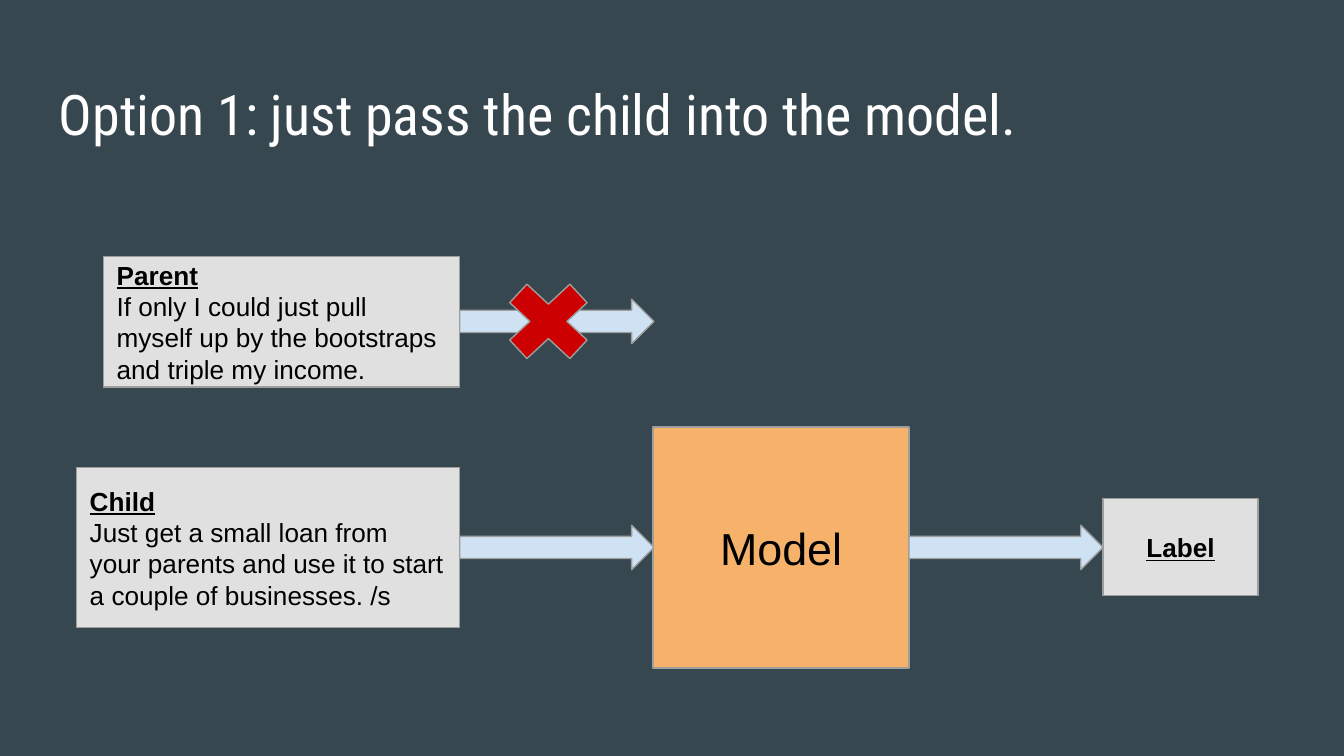
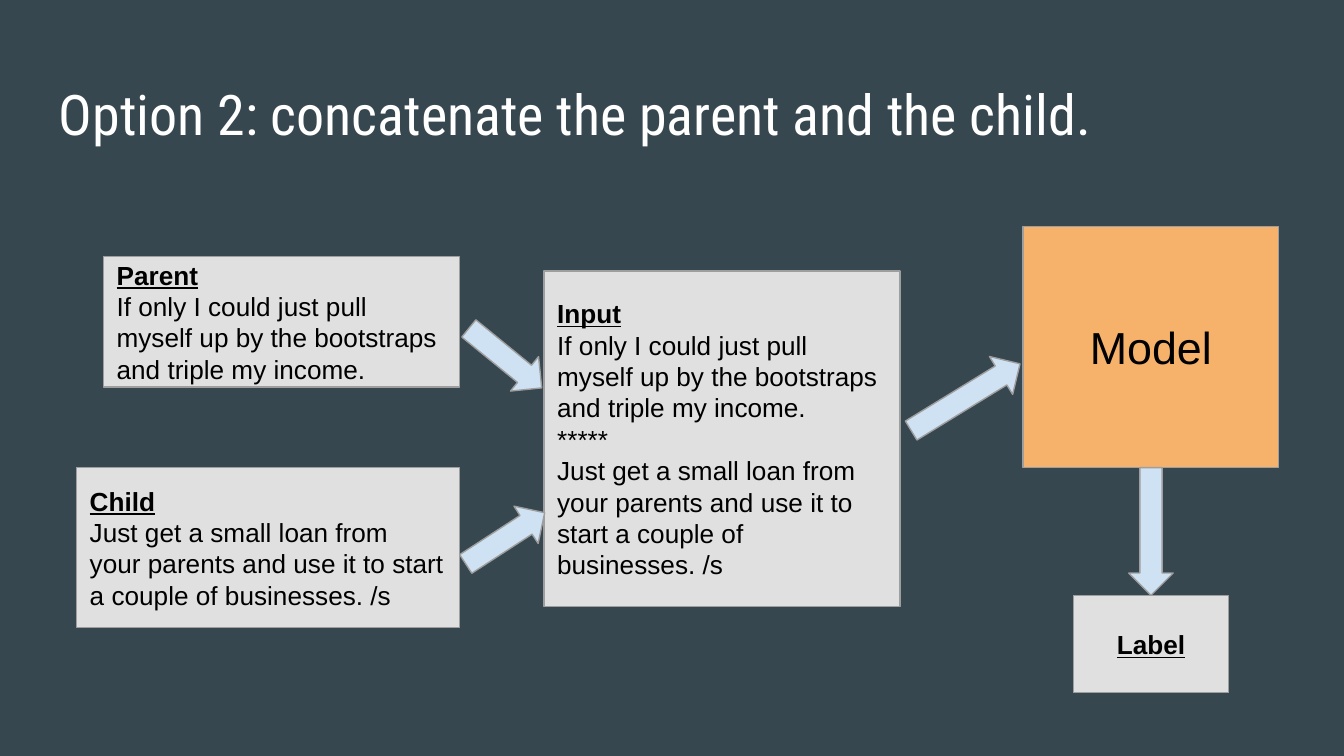
import pptx
import pptx.util
import pptx.dml.color
import pptx.enum.shapes
import pptx.enum.text

Pt = pptx.util.Pt
RGBColor = pptx.dml.color.RGBColor
Shape = pptx.enum.shapes.MSO_SHAPE
Align = pptx.enum.text.PP_ALIGN
Anchor = pptx.enum.text.MSO_ANCHOR

SLATE = RGBColor(0x37, 0x47, 0x4F)
WHITE = RGBColor(0xFF, 0xFF, 0xFF)
BLACK = RGBColor(0x00, 0x00, 0x00)
LIGHT_GRAY = RGBColor(0xE0, 0xE0, 0xE0)
OUTLINE_GRAY = RGBColor(0x9E, 0x9E, 0x9E)
ORANGE = RGBColor(0xF6, 0xB2, 0x6B)
PALE_BLUE = RGBColor(0xCF, 0xE2, 0xF3)
RED = RGBColor(0xCC, 0x00, 0x00)

PARENT_TEXT = "If only I could just pull myself up by the bootstraps and triple my income."
CHILD_TEXT = "Just get a small loan from your parents and use it to start a couple of businesses. /s"
ARROW_HEIGHT = 23.8


class Diagram:
    """Holds the deck, its style and the current page, and draws each kind of element."""

    def __init__(self):
        self.deck = pptx.Presentation()
        self.deck.slide_width = Pt(720)
        self.deck.slide_height = Pt(405)
        self.page = None

    def start_page(self, title):
        self.page = self.deck.slides.add_slide(self.deck.slide_layouts[6])
        self.page.background.fill.solid()
        self.page.background.fill.fore_color.rgb = SLATE
        box = self.page.shapes.add_textbox(Pt(24.5), Pt(35.3), Pt(671), Pt(45.4))
        self.set_frame(box.text_frame, Anchor.TOP)
        self.set_para(box.text_frame.paragraphs[0], title, 30, "Roboto Condensed", WHITE)

    def set_frame(self, frame, anchor):
        frame.word_wrap = True
        frame.vertical_anchor = anchor
        frame.margin_left = frame.margin_right = Pt(7.2)
        frame.margin_top = frame.margin_bottom = Pt(7.2)

    def set_para(self, para, text, size, name="Arial", color=BLACK, heading=False, align=Align.LEFT):
        para.text = text
        para.alignment = align
        para.font.size = Pt(size)
        para.font.name = name
        para.font.color.rgb = color
        para.font.bold = para.font.underline = heading

    def shape(self, kind, left, top, width, height, fill):
        shape = self.page.shapes.add_shape(kind, Pt(left), Pt(top), Pt(width), Pt(height))
        shape.shadow.inherit = False
        shape.fill.solid()
        shape.fill.fore_color.rgb = fill
        shape.line.color.rgb = OUTLINE_GRAY
        shape.line.width = Pt(0.75)
        return shape

    def note(self, left, top, width, height, heading, *body, align=Align.LEFT):
        frame = self.shape(Shape.RECTANGLE, left, top, width, height, LIGHT_GRAY).text_frame
        self.set_frame(frame, Anchor.MIDDLE)
        self.set_para(frame.paragraphs[0], heading, 14, heading=True, align=align)
        for text in body:
            self.set_para(frame.add_paragraph(), text, 14, align=align)

    def comments(self):
        self.note(55.4, 137.5, 190.8, 69.8, "Parent", PARENT_TEXT)
        self.note(41, 250.6, 205.2, 85.7, "Child", CHILD_TEXT)

    def model(self, left, top):
        frame = self.shape(Shape.RECTANGLE, left, top, 137, 129, ORANGE).text_frame
        self.set_frame(frame, Anchor.MIDDLE)
        self.set_para(frame.paragraphs[0], "Model", 24, align=Align.CENTER)

    def label(self, left, top):
        self.note(left, top, 83, 52, "Label", align=Align.CENTER)

    def arrow(self, center_x, center_y, length, angle=0):
        left, top = center_x - length / 2, center_y - ARROW_HEIGHT / 2
        arrow = self.shape(Shape.RIGHT_ARROW, left, top, length, ARROW_HEIGHT, PALE_BLUE)
        arrow.rotation = angle

    def cross(self, left, top, width, height):
        cross = self.shape(Shape.MATH_MULTIPLY, left, top, width, height, RED)
        cross.adjustments[0] = 0.235

    def save(self):
        self.deck.save("out.pptx")


def child_only(diagram):
    diagram.start_page("Option 1: just pass the child into the model.")
    diagram.comments()
    diagram.model(349.9, 228.8)
    diagram.label(591, 267)
    for center_x, center_y in ((298.3, 293.3), (538.9, 293.3), (298.3, 172.2)):
        diagram.arrow(center_x, center_y, 104)
    diagram.cross(262.8, 143.4, 62, 57.6)


def parent_and_child(diagram):
    diagram.start_page("Option 2: concatenate the parent and the child.")
    diagram.comments()
    diagram.model(548, 121.4)
    diagram.label(575.2, 319.2)
    diagram.arrow(517.3, 212.8, 68.4, 328.5)
    diagram.note(291.4, 145.2, 190.8, 179.8, "Input", PARENT_TEXT, "*****", CHILD_TEXT)
    diagram.arrow(270.7, 288.4, 50.4, 327)
    diagram.arrow(270.7, 191.9, 50.4, 39.2)
    diagram.arrow(616.6, 284.7, 68.4, 90)


def main():
    diagram = Diagram()
    child_only(diagram)
    parent_and_child(diagram)
    diagram.save()


if __name__ == "__main__":
    main()
